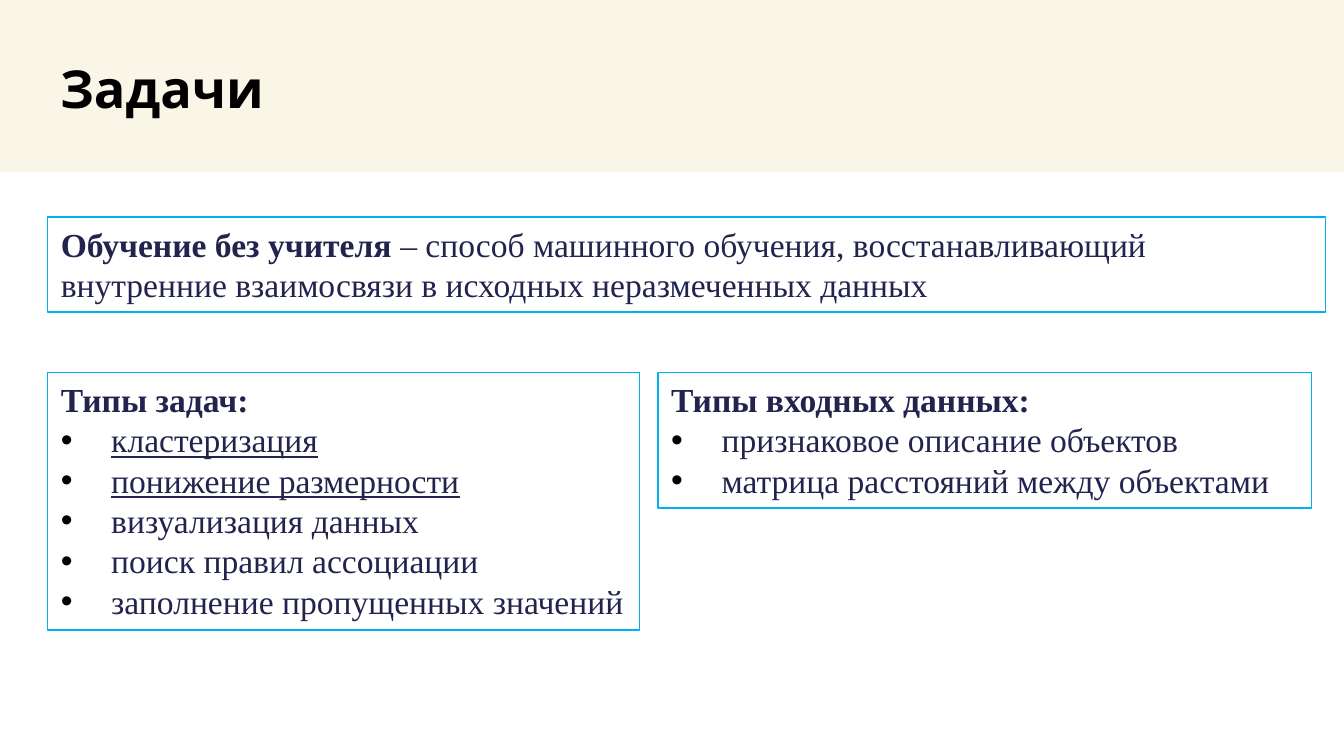
import pptx
import pptx.dml.color
import pptx.enum.shapes
import pptx.enum.text
import pptx.util
from lxml import etree

EMU_PER_PX = 9525
BODY_FONT = "Times New Roman"
INK = "22244E"
BORDER = "00B0F0"
COLUMN_TOP = 266
BULLET_INDENT = 36


def px(length):
    """Convert pixels to EMU."""
    return pptx.util.Emu(length * EMU_PER_PX)


def rgb(value):
    """Convert a hex string to a colour."""
    return pptx.dml.color.RGBColor.from_string(value)


def add_box(slide, left, top, width, height, fill=None, line=None):
    """Add a rectangle with optional fill and border."""
    shape = slide.shapes.add_shape(
        pptx.enum.shapes.MSO_SHAPE.RECTANGLE,
        px(left), px(top), px(width), px(height),
    )
    shape.shadow.inherit = False
    if fill:
        shape.fill.solid()
        shape.fill.fore_color.rgb = rgb(fill)
    else:
        shape.fill.background()
    if line:
        shape.line.color.rgb = rgb(line)
        shape.line.width = pptx.util.Pt(0.75)
    else:
        shape.line.fill.background()
    frame = shape.text_frame
    frame.word_wrap = True
    frame.vertical_anchor = pptx.enum.text.MSO_ANCHOR.TOP
    frame.paragraphs[0].alignment = pptx.enum.text.PP_ALIGN.LEFT
    return shape


def add_text(paragraph, text, font=BODY_FONT, size=18, color=INK, bold=False, underline=False):
    """Append a formatted run to a paragraph."""
    run = paragraph.add_run()
    run.text = text
    run.font.name = font
    run.font.size = pptx.util.Pt(size)
    run.font.color.rgb = rgb(color)
    run.font.bold = bold
    run.font.underline = underline


def add_bullet(paragraph):
    """Give a paragraph a black bullet with a hanging indent."""
    properties = paragraph._p.get_or_add_pPr()
    properties.set("marL", str(px(BULLET_INDENT)))
    properties.set("indent", str(-px(BULLET_INDENT)))
    namespace = pptx.oxml.ns.qn
    color = etree.SubElement(properties, namespace("a:buClr"))
    etree.SubElement(color, namespace("a:srgbClr"), val="000000")
    etree.SubElement(properties, namespace("a:buFont"), typeface="Arial")
    etree.SubElement(properties, namespace("a:buChar"), char="•")


def add_title(slide, text):
    """Add the header band and the slide title."""
    add_box(slide, 0, 0, 960, 123, fill="FAF6E7")
    title = slide.shapes.add_textbox(px(24), px(35), px(913), px(55))
    frame = title.text_frame
    frame.word_wrap = True
    frame.margin_left = px(19)
    frame.vertical_anchor = pptx.enum.text.MSO_ANCHOR.MIDDLE
    add_text(frame.paragraphs[0], text, font="Karla", size=28, color="000000", bold=True)


def add_definition(slide, term, meaning):
    """Add the framed definition with its term in bold."""
    shape = add_box(slide, 34, 155, 913, 68, line=BORDER)
    paragraph = shape.text_frame.paragraphs[0]
    add_text(paragraph, term, bold=True)
    add_text(paragraph, meaning)


def add_list(slide, left, width, height, heading, items, underlined=()):
    """Add a framed bulleted list under a bold heading."""
    frame = add_box(slide, left, COLUMN_TOP, width, height, line=BORDER).text_frame
    add_text(frame.paragraphs[0], heading, bold=True)
    for item in items:
        paragraph = frame.add_paragraph()
        paragraph.alignment = pptx.enum.text.PP_ALIGN.LEFT
        add_bullet(paragraph)
        add_text(paragraph, item, underline=item in underlined)


def main():
    """Build and save the slide."""
    presentation = pptx.Presentation()
    presentation.slide_width = px(960)
    presentation.slide_height = px(540)
    slide = presentation.slides.add_slide(presentation.slide_layouts[6])
    add_title(slide, "Задачи")
    add_definition(
        slide,
        "Обучение без учителя ",
        "– способ машинного обучения, восстанавливающий "
        "внутренние взаимосвязи в исходных неразмеченных данных",
    )
    add_list(
        slide, 470, 467, 97, "Типы входных данных:",
        ["признаковое описание объектов", "матрица расстояний между объектами"],
    )
    add_list(
        slide, 34, 423, 184, "Типы задач:",
        [
            "кластеризация",
            "понижение размерности",
            "визуализация данных",
            "поиск правил ассоциации",
            "заполнение пропущенных значений",
        ],
        underlined=("кластеризация", "понижение размерности"),
    )
    presentation.save("out.pptx")


if __name__ == "__main__":
    main()
